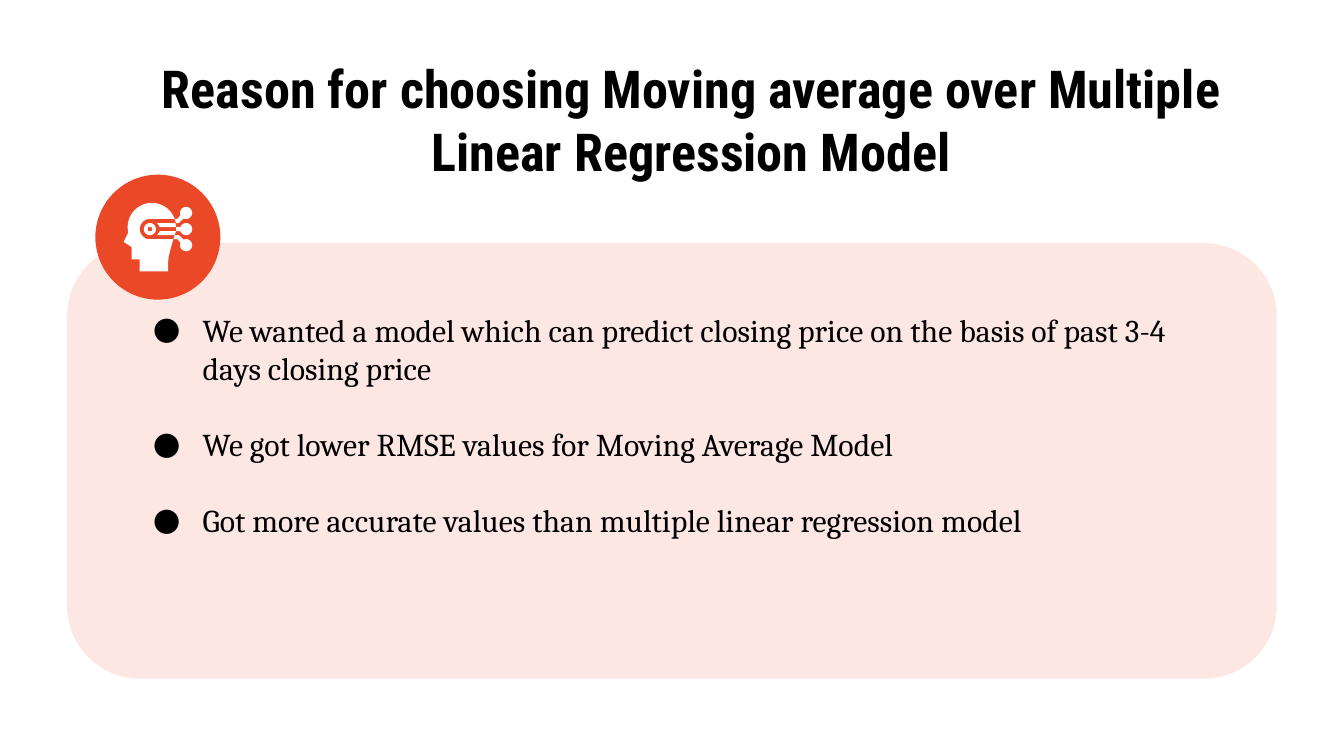
import math

from lxml import etree
from pptx import Presentation
from pptx import util as u
from pptx.dml import color
from pptx.enum import shapes, text
from pptx.oxml import ns

# The grid has 100 columns and 56.25 rows of square cells.
COLUMNS, ROWS = 100, 56.25
CELL = u.Inches(0.1)
ORANGE, WHITE, BLACK = "EA4827", "FFFFFF", "000000"
TITLE = "Reason for choosing Moving average over Multiple Linear Regression Model"
REASONS = [
    "We wanted a model which can predict closing price on the basis of past 3-4 days closing price",
    "We got lower RMSE values for Moving Average Model",
    "Got more accurate values than multiple linear regression model",
]


def cells(*values):
    """Turn grid cells into lengths."""
    return [u.Emu(round(value * CELL)) for value in values]


def paint(shape, fill, opacity=None):
    """Give a shape a flat fill, without line or shadow."""
    shape.shadow.inherit = False
    shape.line.fill.background()
    shape.fill.solid()
    shape.fill.fore_color.rgb = color.RGBColor.from_string(fill)
    if opacity is not None:
        tone = shape.element.spPr.find(".//" + ns.qn("a:srgbClr"))
        etree.SubElement(tone, ns.qn("a:alpha"), val=str(opacity * 1000))


def add_preset(slide, kind, box, fill, opacity=None):
    """Add a filled preset shape."""
    shape = slide.shapes.add_shape(kind, *cells(*box))
    paint(shape, fill, opacity)


def arc(center, radius, start, end, steps=32):
    """List points on an arc; angles in degrees, clockwise from the right."""
    angles = [math.radians(start + (end - start) * i / steps) for i in range(steps + 1)]
    return [(center[0] + radius * math.cos(a), center[1] + radius * math.sin(a)) for a in angles]


def add_outline(group, *contours):
    """Add a white freeform made of closed contours."""
    contours = [[tuple(cells(*point)) for point in contour] for contour in contours]
    builder = group.shapes.build_freeform(*contours[0][0])
    for index, contour in enumerate(contours):
        if index:
            builder.move_to(*contour[0])
        builder.add_line_segments(contour[1:], close=True)
    paint(builder.convert_to_shape(), WHITE)


def add_bullet(paragraph, indent, hanging, font, size):
    """Give a paragraph a round bullet and a hanging indent, in cells."""
    margin, first = cells(indent, -hanging)
    properties = paragraph._p.get_or_add_pPr()
    properties.set("marL", str(margin))
    properties.set("indent", str(first))
    bullet_color = etree.SubElement(properties, ns.qn("a:buClr"))
    etree.SubElement(bullet_color, ns.qn("a:srgbClr"), val=BLACK)
    etree.SubElement(properties, ns.qn("a:buSzPts"), val=str(size * 100))
    etree.SubElement(properties, ns.qn("a:buFont"), typeface=font)
    etree.SubElement(properties, ns.qn("a:buChar"), char="●")


def add_text(slide, box, lines, font, size, bold=False, align=text.PP_ALIGN.LEFT,
             anchor=text.MSO_ANCHOR.TOP, bulleted=False, gap=0):
    """Add a text box with one paragraph per line."""
    frame = slide.shapes.add_textbox(*cells(*box)).text_frame
    frame.word_wrap = True
    frame.vertical_anchor = anchor
    frame.margin_left = frame.margin_right = frame.margin_top = frame.margin_bottom = CELL
    for index, line in enumerate(lines):
        paragraph = frame.add_paragraph() if index else frame.paragraphs[0]
        paragraph.alignment = align
        if index and gap:
            paragraph.space_before = u.Pt(gap)
        if bulleted:
            add_bullet(paragraph, 5, 3.7, font, size)
        run = paragraph.add_run()
        run.text = line
        run.font.name, run.font.size, run.font.bold = font, u.Pt(size), bold
        run.font.color.rgb = color.RGBColor.from_string(BLACK)


def add_head_icon(slide):
    """Draw a head in profile with three linked nodes."""
    group = slide.shapes.add_group_shape()
    eye = (11.15, 17.05)
    head = arc((11.3, 16.9), 1.8, 167, 340)
    slot = arc(eye, 0.75, 270, 90)
    neck = [(12.9, 17.8), (12.7, 18.5), (12.55, 19.1), (12.5, 19.6), (12.5, 20.2), (10.4, 20.2)]
    face = [(10.4, 19.3), (9.8, 19.3), (9.8, 18.4), (9.2, 18)]
    add_outline(group, [(11.9, 17.2), (11.7, 17.5), (13, 17.5), (13.1, 17.2)])
    add_outline(group, arc(eye, 0.45, 0, 360), [(11, 16.9), (11, 17.2), (11.3, 17.2), (11.3, 16.9)])
    add_outline(group, head + slot + neck + face)
    add_outline(group, [(11.7, 16.6), (11.9, 16.9), (13.1, 16.9), (13.05, 16.6)])
    links = [
        (157, 473, [(13.3, 16.6), (13.1, 16.6), (13, 16.3), (13.2, 16.3)]),
        (199, 521, [(13.1, 17.2), (13.1, 16.9)]),
        (247, 563, [(13.2, 17.8), (12.9, 17.8), (13, 17.5), (13.3, 17.5)]),
    ]
    for row, (start, end, link) in enumerate(links):
        add_outline(group, arc((13.85, 15.85 + 1.2 * row), 0.45, start, end) + link)


def main():
    """Build and save the slide."""
    presentation = Presentation()
    presentation.slide_width, presentation.slide_height = cells(COLUMNS, ROWS)
    slide = presentation.slides.add_slide(presentation.slide_layouts[6])
    add_preset(slide, shapes.MSO_SHAPE.ROUNDED_RECTANGLE, (5, 18.1, 90, 32.4), ORANGE, opacity=13)
    add_preset(slide, shapes.MSO_SHAPE.OVAL, (7.1, 13, 9.3, 9.3), ORANGE)
    add_text(slide, (6.4, 6.8, 90, 4.1), [TITLE], "Roboto Condensed", 28, bold=True,
             align=text.PP_ALIGN.CENTER, anchor=text.MSO_ANCHOR.MIDDLE)
    add_text(slide, (9.1, 22.1, 81.7, 19.2), REASONS, "Cambria", 17, bulleted=True, gap=20.4)
    add_head_icon(slide)
    presentation.save("out.pptx")


main()
